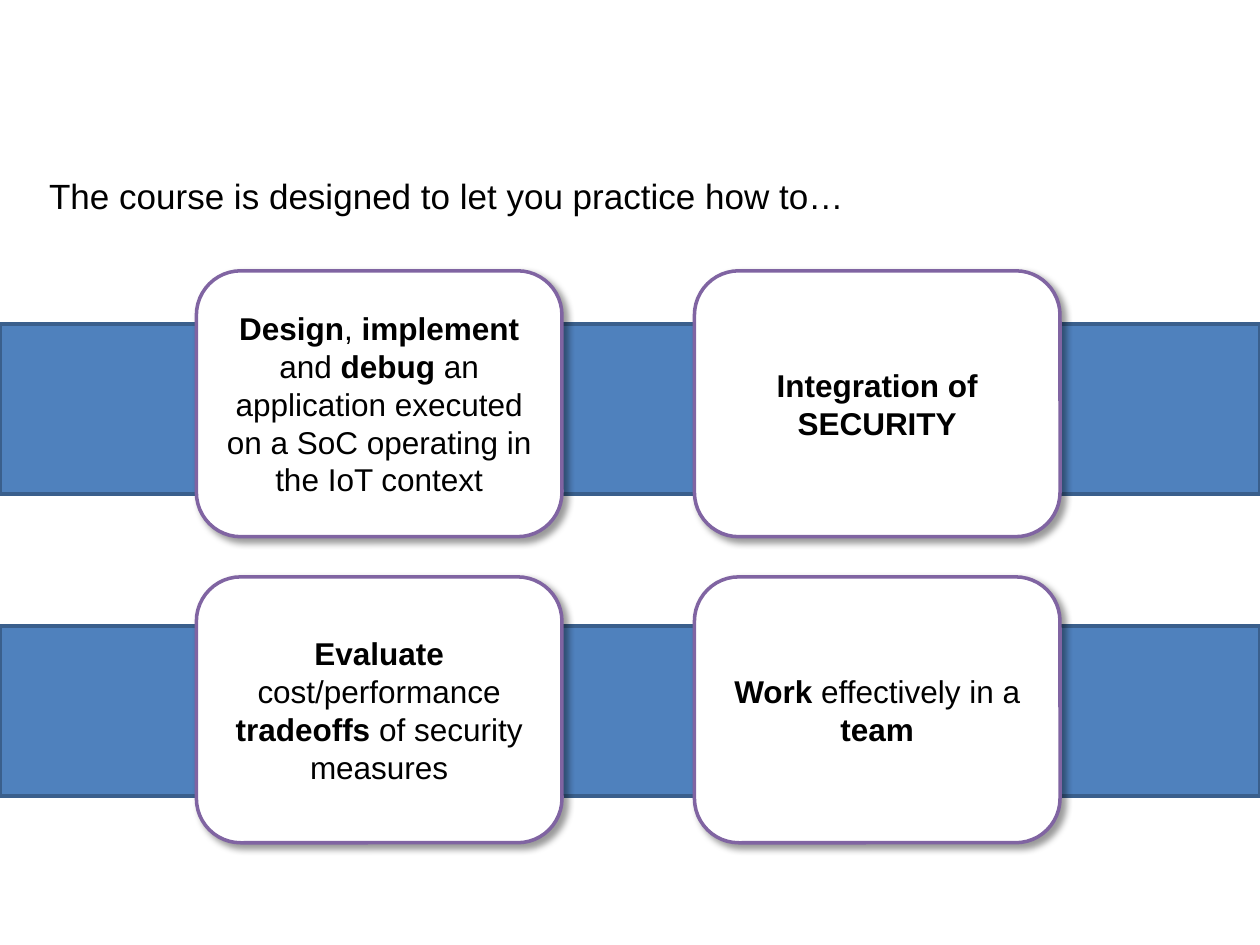
from dataclasses import dataclass

from lxml.etree import SubElement
from pptx import Presentation
from pptx.dml.color import RGBColor
from pptx.enum.shapes import MSO_SHAPE
from pptx.enum.text import MSO_ANCHOR, PP_ALIGN
from pptx.oxml.ns import qn
from pptx.shapes.autoshape import Shape
from pptx.slide import Slide
from pptx.text.text import _Paragraph as Paragraph
from pptx.util import Cm, Pt

COLORS = {
    "band": "4F81BD",
    "band_line": "3A5F8C",
    "card": "FFFFFF",
    "card_line": "8064A2",
    "text": "000000",
    "shadow": "000000",
}
FONT = "Arial"

# Layout in centimetres
SLIDE_WIDTH, SLIDE_HEIGHT = 25.4, 19.05
BAND_TOPS, BAND_HEIGHT = (6.53, 12.62), 3.43
CARD_LEFTS, CARD_TOPS = (3.96, 14.0), (5.46, 11.63)
CARD_WIDTH, CARD_HEIGHT = 7.37, 5.36


@dataclass
class Card:
    column: int
    row: int
    runs: list[tuple[str, bool]]  # text, bold


CARDS = [
    Card(0, 0, [
        ("Design", True), (", ", False), ("implement", True), (" and ", False),
        ("debug ", True),
        ("an application executed on a SoC operating in the IoT context", False),
    ]),
    Card(1, 0, [("Integration of SECURITY", True)]),
    Card(0, 1, [
        ("Evaluate ", True), ("cost/performance ", False),
        ("tradeoffs", True), (" of security measures", False),
    ]),
    Card(1, 1, [("Work", True), (" effectively in a ", False), ("team", True)]),
]


def color(name: str) -> RGBColor:
    return RGBColor.from_string(COLORS[name])


def add_box(slide: Slide, kind: MSO_SHAPE, left: float, top: float,
            width: float, height: float, style: str) -> Shape:
    shape = slide.shapes.add_shape(kind, Cm(left), Cm(top), Cm(width), Cm(height))
    shape.shadow.inherit = False
    shape.fill.solid()
    shape.fill.fore_color.rgb = color(style)
    shape.line.color.rgb = color(f"{style}_line")
    shape.line.width = Pt(2)
    return shape


def add_shadow(shape: Shape) -> None:
    effects = shape._element.spPr.find(qn("a:effectLst"))
    shadow = SubElement(effects, qn("a:outerShdw"), blurRad=str(Pt(4)),
                        dist=str(Pt(3)), dir=str(45 * 60000),
                        algn="tl", rotWithShape="0")
    shade = SubElement(shadow, qn("a:srgbClr"), val=COLORS["shadow"])
    SubElement(shade, qn("a:alpha"), val="40000")


def format_runs(paragraph: Paragraph, size: int) -> None:
    for run in paragraph.runs:
        run.font.name = FONT
        run.font.size = Pt(size)
        run.font.color.rgb = color("text")


def add_intro(slide: Slide, text: str) -> None:
    box = slide.shapes.add_textbox(Cm(0.99), Cm(3.3), Cm(23.39), Cm(12.27))
    frame = box.text_frame
    frame.word_wrap = True
    frame.margin_left = frame.margin_right = 0
    frame.margin_top = frame.margin_bottom = 0
    frame.text = text
    frame.paragraphs[0].line_spacing = 1.25
    format_runs(frame.paragraphs[0], 20)


def add_card(slide: Slide, card: Card) -> None:
    shape = add_box(slide, MSO_SHAPE.ROUNDED_RECTANGLE, CARD_LEFTS[card.column],
                    CARD_TOPS[card.row], CARD_WIDTH, CARD_HEIGHT, "card")
    add_shadow(shape)
    frame = shape.text_frame
    frame.word_wrap = True
    frame.vertical_anchor = MSO_ANCHOR.MIDDLE
    paragraph = frame.paragraphs[0]
    paragraph.alignment = PP_ALIGN.CENTER
    for text, bold in card.runs:
        run = paragraph.add_run()
        run.text = text
        run.font.bold = bold
    format_runs(paragraph, 18)


def main() -> None:
    presentation = Presentation()
    presentation.slide_width = Cm(SLIDE_WIDTH)
    presentation.slide_height = Cm(SLIDE_HEIGHT)
    slide = presentation.slides.add_slide(presentation.slide_layouts[6])

    # Bands behind the cards
    for top in BAND_TOPS:
        add_box(slide, MSO_SHAPE.RECTANGLE, 0, top, SLIDE_WIDTH, BAND_HEIGHT, "band")

    # Introductory sentence
    add_intro(slide, "The course is designed to let you practice how to…")

    # Course goals
    for card in CARDS:
        add_card(slide, card)

    presentation.save("out.pptx")


if __name__ == "__main__":
    main()
